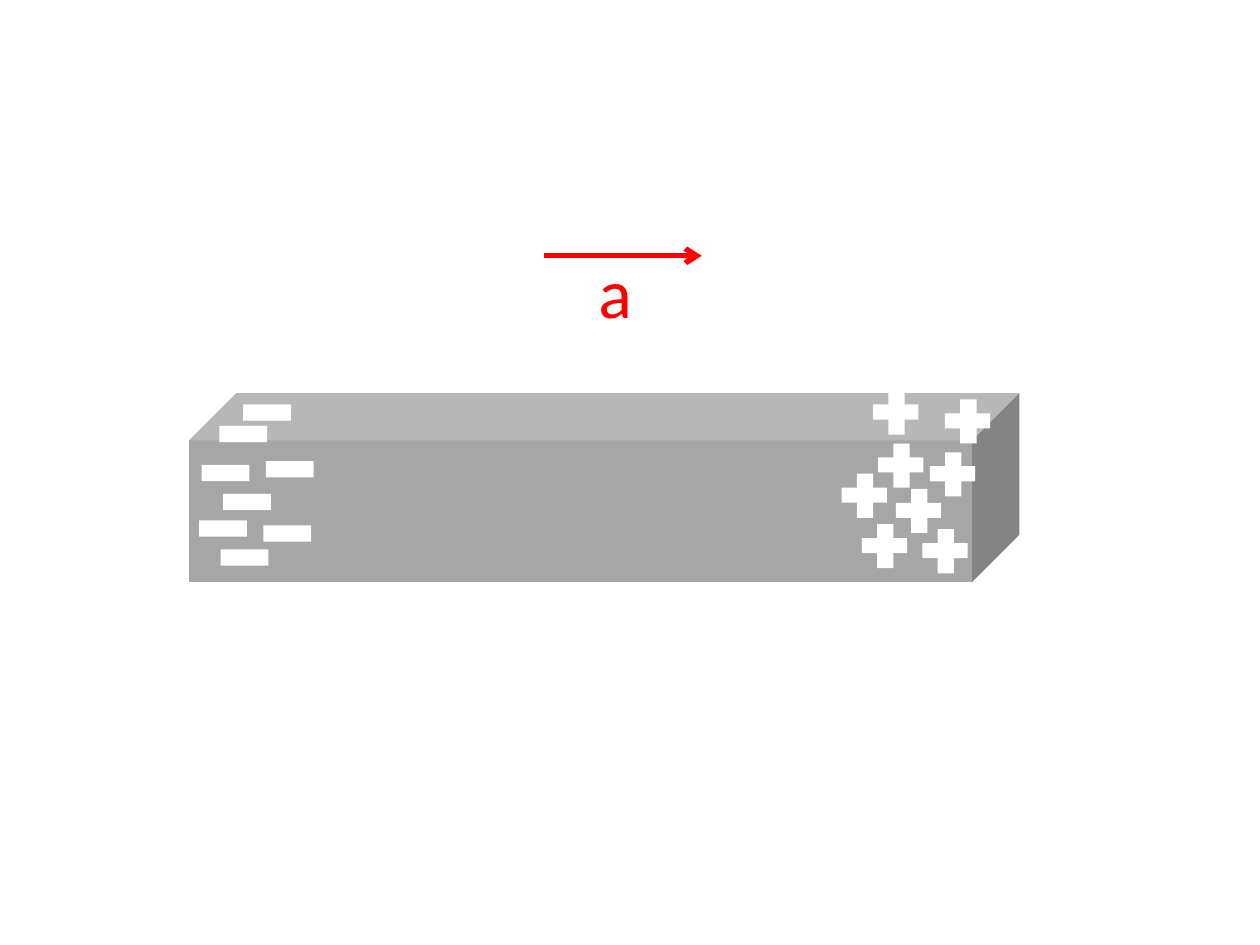
from pptx import Presentation
from pptx.dml.color import RGBColor
from pptx.enum.shapes import MSO_CONNECTOR, MSO_SHAPE as SHAPE
from pptx.enum.text import MSO_AUTO_SIZE
from pptx.oxml.ns import qn
from pptx.util import Inches, Pt
from lxml import etree

GREY = RGBColor(0xA6, 0xA6, 0xA6)
WHITE = RGBColor(0xFF, 0xFF, 0xFF)
RED = RGBColor(0xFF, 0x00, 0x00)

MINUSES = [(1.6, 3.69), (1.77, 3.92), (1.58, 4.13), (1.75, 4.36),
           (2.09, 4.17), (2.11, 3.66), (1.93, 3.21), (1.74, 3.38)]
PLUSES = [(7.32, 4.31), (7.38, 3.7), (7.11, 3.99), (6.84, 4.27),
          (6.68, 3.87), (6.97, 3.63), (7.5, 3.28), (6.93, 3.21)]

prs = Presentation()
prs.slide_width, prs.slide_height = Inches(10), Inches(7.5)
s = prs.slides.add_slide(prs.slide_layouts[6])


def add_solid(shapes, kind, x, y, w, h, color):
    sp = shapes.add_shape(kind, Inches(x), Inches(y), Inches(w), Inches(h))
    sp.shadow.inherit = False
    sp.fill.solid()
    sp.fill.fore_color.rgb = color
    sp.line.fill.background()
    return sp


add_solid(s.shapes, SHAPE.CUBE, 1.5, 3.12, 6.59, 1.5, GREY)

arrow = s.shapes.add_connector(MSO_CONNECTOR.STRAIGHT, Inches(4.32), Inches(2.03),
                               Inches(5.57), Inches(2.03))
arrow.line.color.rgb = RED
arrow.line.width = Pt(3)
etree.SubElement(arrow.line._get_or_add_ln(), qn("a:tailEnd"), type="arrow")
etree.SubElement(arrow._element.spPr, qn("a:effectLst"))

label = s.shapes.add_textbox(Inches(4.65), Inches(1.92), Inches(0.47), Inches(0.77))
tf = label.text_frame
tf.text = "a"
tf.word_wrap = False
tf.auto_size = MSO_AUTO_SIZE.SHAPE_TO_FIT_TEXT
r = tf.paragraphs[0].runs[0]
r.font.name = "Calibri"
r.font.size = Pt(40)
r.font.color.rgb = RED

for x, y in MINUSES:
    add_solid(s.shapes, SHAPE.RECTANGLE, x, y, 0.38, 0.13, WHITE)

for x, y in PLUSES:
    plus = s.shapes.add_group_shape()
    add_solid(plus.shapes, SHAPE.RECTANGLE, x, y, 0.36, 0.12, WHITE)
    bar = add_solid(plus.shapes, SHAPE.RECTANGLE, x + 0.01, y, 0.35, 0.13, WHITE)
    bar.rotation = 90

prs.save("out.pptx")
